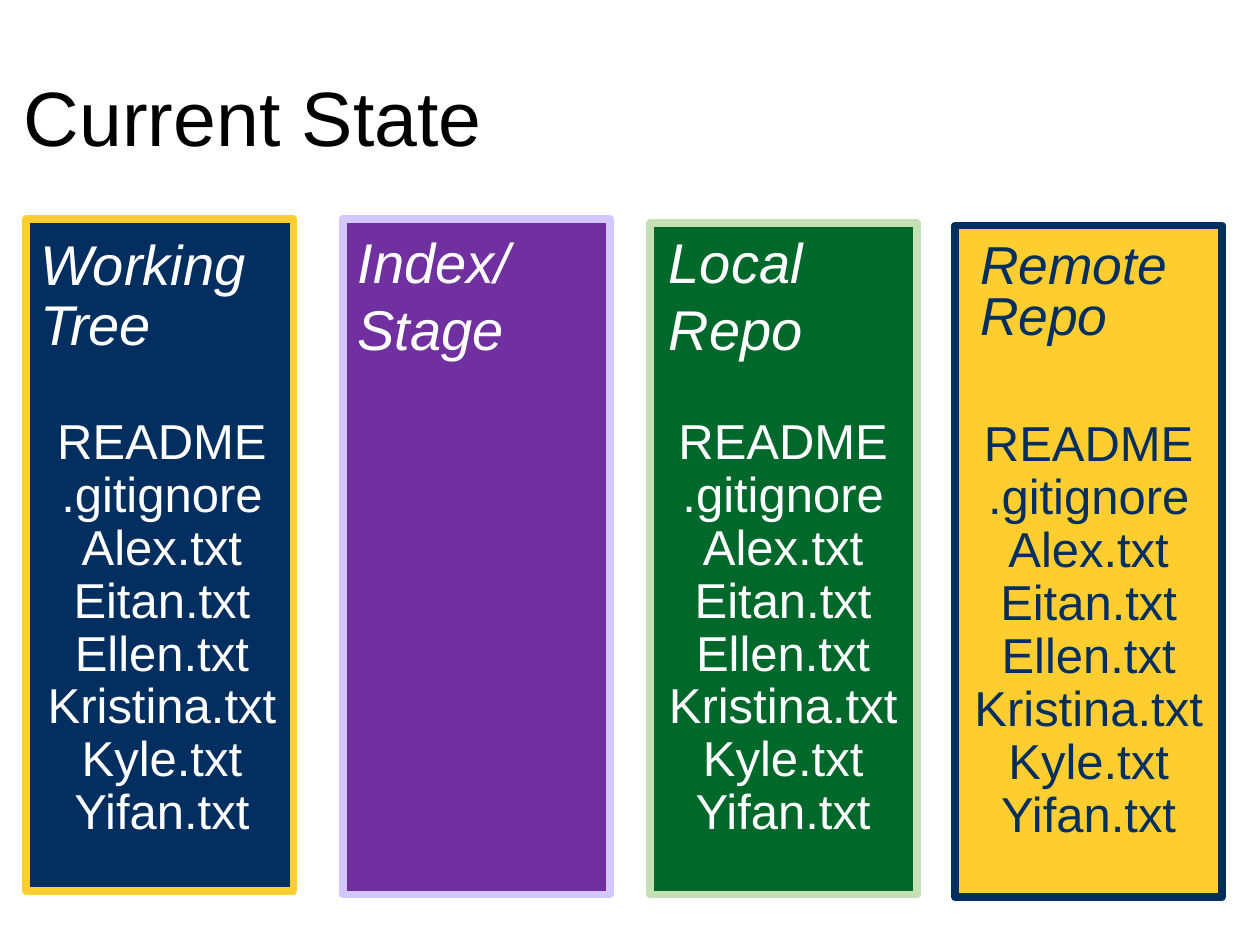
from pptx import Presentation
from pptx.dml.color import RGBColor
from pptx.enum.shapes import MSO_SHAPE
from pptx.enum.text import MSO_ANCHOR, PP_ALIGN
from pptx.util import Inches, Pt

RECT = MSO_SHAPE.RECTANGLE
MIDDLE = MSO_ANCHOR.MIDDLE
LEFT, CENTER = PP_ALIGN.LEFT, PP_ALIGN.CENTER

# Content
TITLE = "Current State"
FILES = ["README", ".gitignore", "Alex.txt", "Eitan.txt", "Ellen.txt",
         "Kristina.txt", "Kyle.txt", "Yifan.txt"]
NAVY, GOLD, WHITE = "032E60", "FECE31", "FFFFFF"
# Boxes are left, top, width, height in inches
COLUMNS = [
    dict(heading=["Working Tree"], fill=NAVY, line=GOLD, text=WHITE,
         box=(0.21, 1.74, 2.12, 5.33), head_box=(0.22, 1.8, 2.04, 1.12),
         size=32, spacing=0.9, files_box=(0.26, 2.91, 2.05, 4.16)),
    dict(heading=["Index/", "Stage"], fill="7030A0", line="D3C7FF", text=WHITE,
         box=(2.72, 1.74, 2.12, 5.36), head_box=(2.74, 1.72, 1.86, 1.24),
         size=32, spacing=1.0, files_box=None),
    dict(heading=["Local Repo"], fill="00682B", line="C5E0B4", text=WHITE,
         box=(5.16, 1.77, 2.12, 5.33), head_box=(5.21, 1.72, 1.89, 1.24),
         size=32, spacing=1.0, files_box=(5.19, 2.91, 2.05, 4.16)),
    dict(heading=["Remote Repo"], fill=GOLD, line=NAVY, text=NAVY,
         box=(7.58, 1.79, 2.12, 5.33), head_box=(7.68, 1.86, 2.32, 0.96),
         size=30.5, spacing=0.8, files_box=(7.6, 2.88, 2.08, 4.26)),
]


def rgb(value):
    return RGBColor.from_string(value)


def inches(box):
    return [Inches(v) for v in box]


def write(sp, lines, size, color, spacing, align=LEFT, italic=False):
    tf = sp.text_frame
    tf.word_wrap = True
    tf.vertical_anchor = MIDDLE
    for i, line in enumerate(lines):
        p = tf.paragraphs[0] if i == 0 else tf.add_paragraph()
        p.alignment = align
        p.line_spacing = spacing
        r = p.add_run()
        r.text = line
        r.font.name = "Arial"
        r.font.size = Pt(size)
        r.font.italic = italic
        r.font.color.rgb = rgb(color)


prs = Presentation()
prs.slide_width, prs.slide_height = Inches(10), Inches(7.5)
s = prs.slides.add_slide(prs.slide_layouts[5])

# Title
title = s.shapes.title
title.left, title.top, title.width, title.height = inches((0.09, 0.24, 8.62, 1.45))
write(title, [TITLE], 44, "000000", 0.9)

# Columns: panel, heading, file list
for col in COLUMNS:
    panel = s.shapes.add_shape(RECT, *inches(col["box"]))
    panel.shadow.inherit = False
    panel.fill.solid()
    panel.fill.fore_color.rgb = rgb(col["fill"])
    panel.line.color.rgb = rgb(col["line"])
    panel.line.width = Pt(4.5)

    heading = s.shapes.add_textbox(*inches(col["head_box"]))
    write(heading, col["heading"], col["size"], col["text"], col["spacing"], italic=True)

    if col["files_box"]:
        files = s.shapes.add_textbox(*inches(col["files_box"]))
        write(files, FILES, 28, col["text"], 0.9, CENTER)

prs.save("out.pptx")
